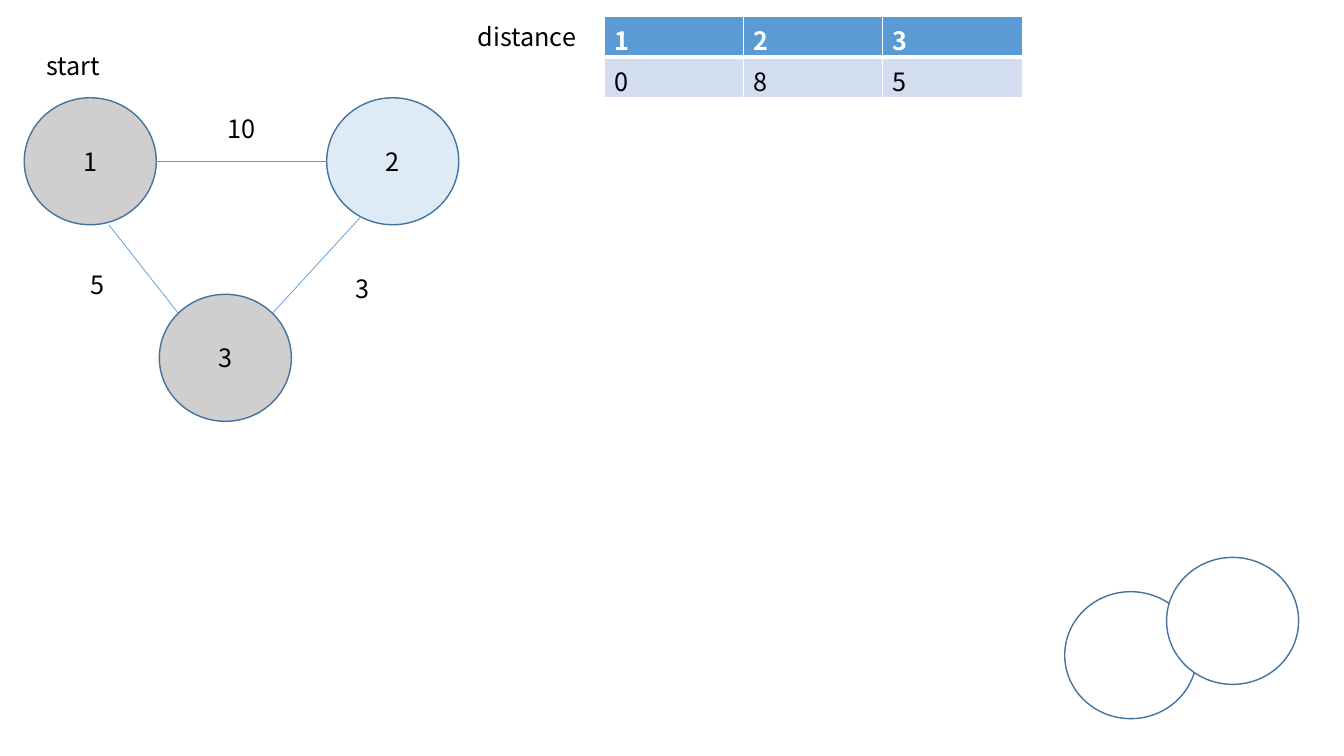
from lxml.etree import SubElement
from pptx import Presentation
from pptx.dml.color import RGBColor
from pptx.enum.shapes import MSO_CONNECTOR, MSO_SHAPE
from pptx.enum.text import MSO_ANCHOR, PP_ALIGN
from pptx.oxml.ns import qn
from pptx.util import Inches, Pt

COLORS = {
    "visited": "D0CECE", "pending": "DEEBF7", "white": "FFFFFF", "text": "000000",
    "outline": "43739E", "edge": "5B9BD5", "header": "5B9BD5", "row": "D2DEEF",
}
FONT = {"name": "Noto Sans CJK KR", "size": Pt(18)}
NODE_W, NODE_H = 1.31, 1.26
LABEL_H = 0.4


def color(key):
    return RGBColor.from_string(COLORS[key])


def write(frame, text, ink="text", bold=False, align=None):
    paragraph = frame.paragraphs[0]
    paragraph.alignment = align
    run = paragraph.add_run()
    run.text = text
    for attribute, value in {**FONT, "bold": bold}.items():
        setattr(run.font, attribute, value)
    run.font.color.rgb = color(ink)


def add_label(slide, text, left, top, width):
    label = slide.shapes.add_textbox(*map(Inches, (left, top, width, LABEL_H)))
    label.text_frame.word_wrap = True
    write(label.text_frame, text)


def add_node(slide, text, left, top, fill):
    node = slide.shapes.add_shape(
        MSO_SHAPE.OVAL, *map(Inches, (left, top, NODE_W, NODE_H)))
    node.shadow.inherit = False
    node.fill.solid()
    node.fill.fore_color.rgb = color(fill)
    node.line.color.rgb = color("outline")
    node.line.width = Pt(1)
    node.text_frame.vertical_anchor = MSO_ANCHOR.MIDDLE
    if text:
        write(node.text_frame, text, align=PP_ALIGN.CENTER)


def add_edge(slide, x1, y1, x2, y2):
    edge = slide.shapes.add_connector(
        MSO_CONNECTOR.STRAIGHT, *map(Inches, (x1, y1, x2, y2)))
    edge.line.color.rgb = color("edge")
    edge.line.width = Pt(0.5)
    SubElement(edge._element.spPr, qn("a:effectLst"))


def add_graph(slide, left, top):
    """Weighted graph; every offset is measured from the box corner."""
    # Nodes
    for name, x, y, fill in (("1", 0, 0.52, "visited"),
                             ("2", 3, 0.52, "pending"),
                             ("3", 1.34, 2.47, "visited")):
        add_node(slide, name, left + x, top + y, fill)
    # Edges with their weights
    for weight, x1, y1, x2, y2, label_x, label_y in (
            ("10", NODE_W, 1.15, 3, 1.15, 1.92, 0.63),
            ("5", 0.84, 1.78, 1.53, 2.66, 0.56, 2.17),
            ("3", 3.34, 1.7, 2.46, 2.66, 3.19, 2.21)):
        add_edge(slide, left + x1, top + y1, left + x2, top + y2)
        add_label(slide, weight, left + label_x, top + label_y, 0.61)
    add_label(slide, "start", left + 0.12, top, 1.35)


def add_spare_nodes(slide, left, top):
    """Two overlapping blank nodes."""
    for x, y in ((0, 0.34), (1.01, 0)):
        add_node(slide, "", left + x, top + y, "white")


def add_border(cell, side, width):
    line = SubElement(cell._tc.get_or_add_tcPr(), qn("a:" + side), w=str(Pt(width)))
    fill = SubElement(line, qn("a:solidFill"))
    SubElement(fill, qn("a:srgbClr"), val=COLORS["white"])


def add_distances(slide, left, top, width, height):
    """Caption on the left, shortest distances in the table beside it."""
    caption_w = 1.35
    add_label(slide, "distance", left, top, caption_w)
    rows = (("1", "2", "3"), ("0", "8", "5"))
    distances = slide.shapes.add_table(
        len(rows), len(rows[0]),
        *map(Inches, (left + caption_w, top, width - caption_w, height))).table
    for r, values in enumerate(rows):
        header = r == 0
        widths = {"lnL": 1, "lnR": 1, "lnT": 1 if header else 3,
                  "lnB": 3 if header else 1}
        for c, value in enumerate(values):
            cell = distances.cell(r, c)
            for side, border in widths.items():
                add_border(cell, side, border)
            cell.fill.solid()
            cell.fill.fore_color.rgb = color("header" if header else "row")
            write(cell.text_frame, value, "white" if header else "text", header)


def main():
    deck = Presentation()
    deck.slide_width, deck.slide_height = Inches(13.33), Inches(7.5)
    slide = deck.slides.add_slide(deck.slide_layouts[6])
    add_graph(slide, 0.24, 0.45)
    add_spare_nodes(slide, 10.56, 5.53)
    add_distances(slide, 4.64, 0.16, 5.5, 0.81)
    deck.save("out.pptx")


if __name__ == "__main__":
    main()
